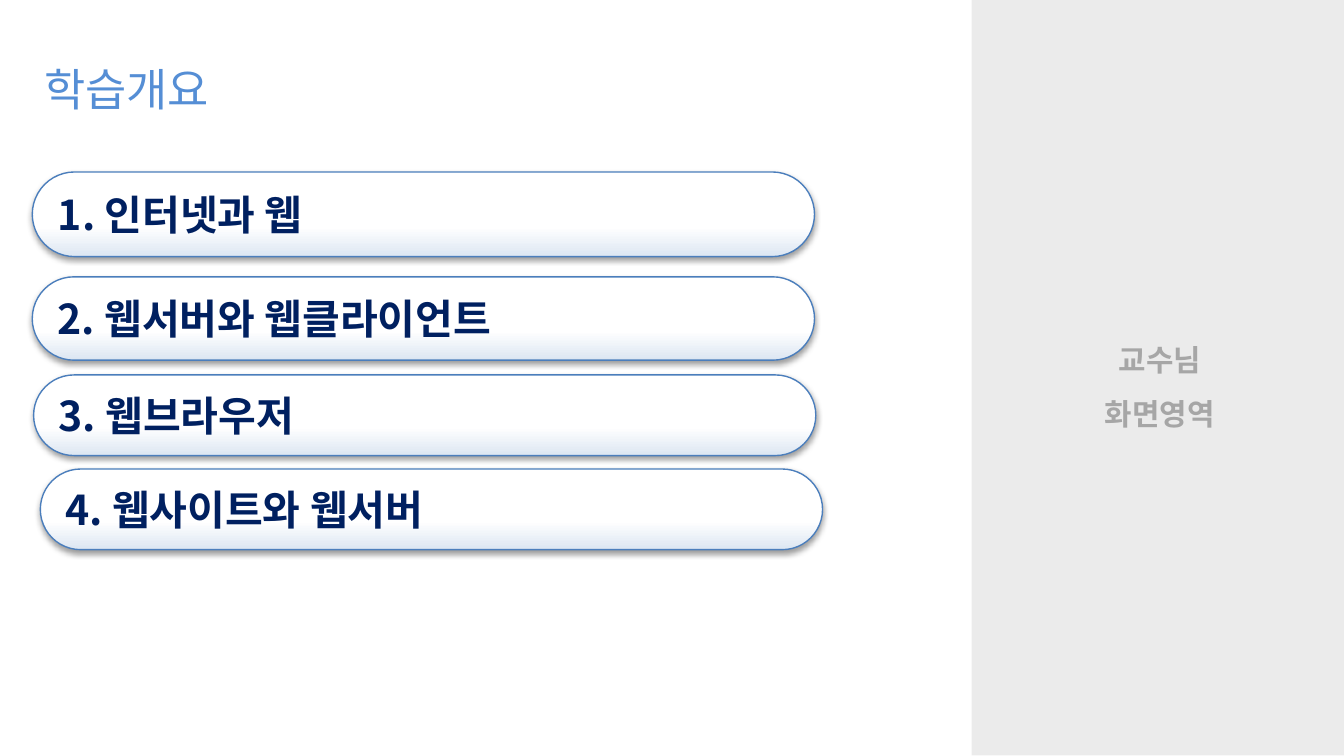
from dataclasses import dataclass

from lxml import etree
from pptx import Presentation
from pptx.dml.color import RGBColor
from pptx.enum.shapes import MSO_SHAPE
from pptx.enum.text import MSO_ANCHOR, PP_ALIGN
from pptx.oxml import parse_xml
from pptx.oxml.ns import nsdecls, qn
from pptx.util import Inches, Pt

RECT, PILL = MSO_SHAPE.RECTANGLE, MSO_SHAPE.ROUNDED_RECTANGLE
MIDDLE, TOP = MSO_ANCHOR.MIDDLE, MSO_ANCHOR.TOP
LEFT, CENTER = PP_ALIGN.LEFT, PP_ALIGN.CENTER


@dataclass(frozen=True)
class Theme:
    font: str = "Noto Sans CJK KR"
    panel_font: str = "Arial"
    title: str = "558ED5"
    topic: str = "002060"
    outline: str = "4B7EBC"
    tint: str = "DCE6F2"
    white: str = "FFFFFF"
    shadow: str = "000000"
    panel: str = "D9D9D9"
    panel_text: str = "A6A6A6"
    title_size: int = 24
    topic_size: int = 22
    panel_size: int = 16


def add_text(p, text, *, font, size, color, bold=False, east_asian=None):
    """Append a formatted run to a paragraph."""
    r = p.add_run()
    r.text = text
    r.font.name = font
    r.font.size = Pt(size)
    r.font.bold = bold
    r.font.color.rgb = RGBColor.from_string(color)
    rPr = r._r.get_or_add_rPr()
    etree.SubElement(rPr, qn("a:ea")).set("typeface", east_asian or font)


class SlideBuilder:
    def __init__(self, slide, theme):
        self.s = slide
        self.theme = theme

    def shape(self, kind, left, top, width, height):
        sp = self.s.shapes.add_shape(
            kind, Inches(left), Inches(top), Inches(width), Inches(height))
        sp.shadow.inherit = False
        sp.text_frame.word_wrap = True
        sp.text_frame.vertical_anchor = MIDDLE
        return sp

    def side_panel(self, lines, left, top, width, height):
        t = self.theme
        sp = self.shape(RECT, left, top, width, height)
        sp.fill.solid()
        sp.fill.fore_color.rgb = RGBColor.from_string(t.panel)
        color = sp._element.spPr.find(qn("a:solidFill"))[0]
        etree.SubElement(color, qn("a:alpha")).set("val", "50000")
        sp.line.fill.background()
        tf = sp.text_frame
        for i, line in enumerate(lines):
            p = tf.add_paragraph() if i else tf.paragraphs[0]
            p.alignment = CENTER
            p.line_spacing = 1.5
            add_text(p, line, font=t.panel_font, east_asian=t.font,
                     size=t.panel_size, color=t.panel_text, bold=True)

    def title(self, text, left, top, width, height):
        t = self.theme
        box = self.s.shapes.add_textbox(
            Inches(left), Inches(top), Inches(width), Inches(height))
        tf = box.text_frame
        tf.word_wrap = True
        tf.vertical_anchor = TOP
        p = tf.paragraphs[0]
        p.line_spacing = 1.1
        add_text(p, text, font=t.font, size=t.title_size, color=t.title)

    def topic(self, text, left, top, width, height):
        t = self.theme
        sp = self.shape(PILL, left, top, width, height)
        sp.adjustments[0] = 0.5
        sp.line.color.rgb = RGBColor.from_string(t.outline)
        sp.line.width = Pt(0.75)
        self.pill_effects(sp)
        p = sp.text_frame.paragraphs[0]
        p.alignment = LEFT
        add_text(p, text, font=t.font, size=t.topic_size, color=t.topic, bold=True)

    def pill_effects(self, sp):
        """Fade from a tinted bottom edge to white, with a soft shadow below."""
        t = self.theme
        stops = "".join(
            f'<a:gs pos="{pos * 1000}"><a:srgbClr val="{color}"/></a:gs>'
            for pos, color in ((0, t.tint), (35, t.white), (100, t.white)))
        spPr = sp._element.spPr
        spPr.find(qn("a:prstGeom")).addnext(parse_xml(
            f'<a:gradFill {nsdecls("a")} rotWithShape="1"><a:gsLst>{stops}</a:gsLst>'
            '<a:lin ang="16200000" scaled="1"/></a:gradFill>'))
        spPr.find(qn("a:effectLst")).append(parse_xml(
            f'<a:outerShdw {nsdecls("a")} blurRad="{Pt(3.1)}" dist="{Pt(1.6)}" '
            f'dir="5400000" rotWithShape="0"><a:srgbClr val="{t.shadow}">'
            '<a:alpha val="38000"/></a:srgbClr></a:outerShdw>'))


def main():
    prs = Presentation()
    prs.slide_width = Inches(10)
    prs.slide_height = prs.slide_width * 9 // 16
    slide = SlideBuilder(prs.slides.add_slide(prs.slide_layouts[6]), Theme())

    slide.side_panel(("교수님", "화면영역"), 7.23, 0, 2.8, 5.62)
    slide.title("학습개요", 0.23, 0.37, 6.68, 0.51)
    topics = (
        ("인터넷과 웹", 0.24, 1.28, 0.63),
        ("웹서버와 웹클라이언트", 0.24, 2.06, 0.62),
        ("웹브라우저", 0.25, 2.79, 0.6),
        ("웹사이트와 웹서버", 0.3, 3.49, 0.6),
    )
    for number, (text, left, top, height) in enumerate(topics, 1):
        slide.topic(f"{number}. {text}", left, top, 5.82, height)

    prs.save("out.pptx")


if __name__ == "__main__":
    main()
